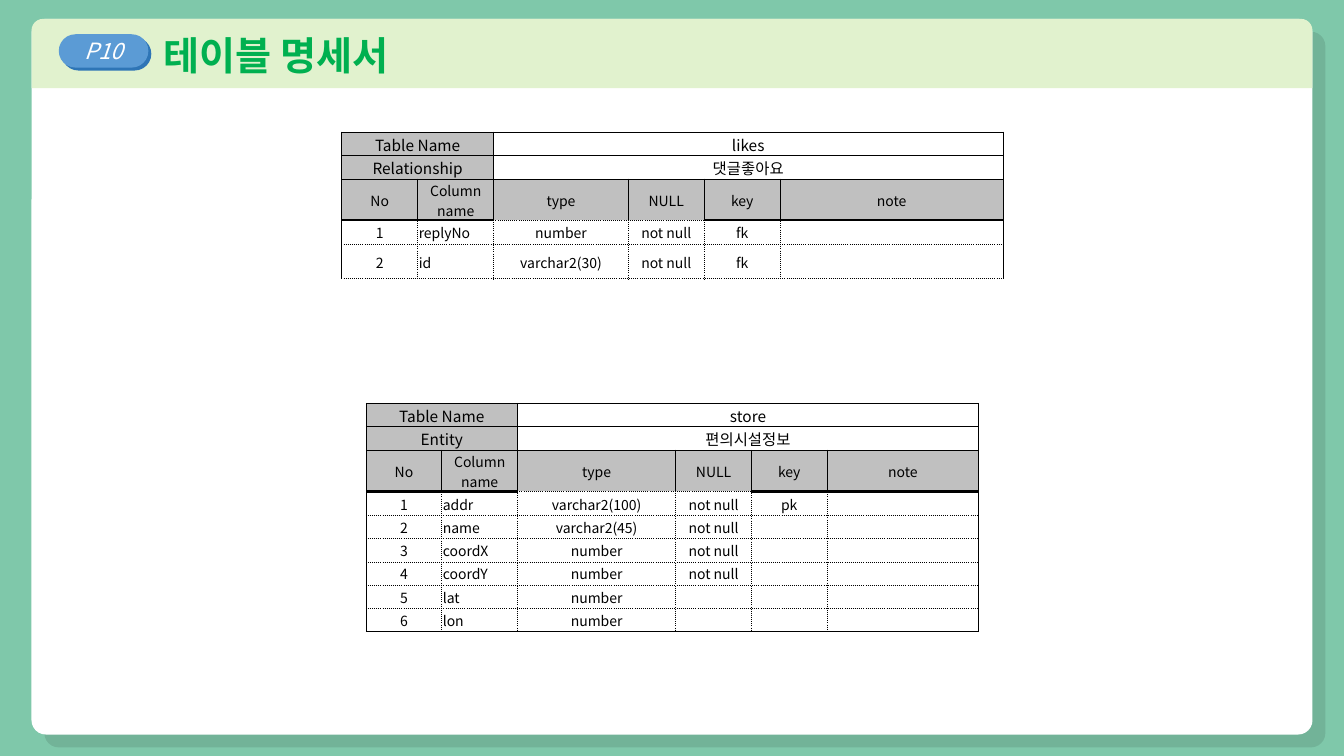
from dataclasses import dataclass

from lxml.etree import SubElement
from pptx import Presentation
from pptx.dml.color import RGBColor
from pptx.enum.shapes import MSO_SHAPE as Shape
from pptx.enum.text import MSO_ANCHOR as Anchor, PP_ALIGN as Align
from pptx.oxml.ns import qn
from pptx.util import Pt

TITLE = "테이블 명세서"
BADGE = "P10"
HEADINGS = ["No", "Column name", "type", "NULL", "key", "note"]
TABLES = [
    {
        "position": (244.1, 94.3),
        "columns": [54.3, 54.3, 96.1, 54.3, 54.3, 159],
        "heights": [16.6, 16.6, 24.5, 17.3, 24.5],
        "titles": [("Table Name", "likes"), ("Relationship", "댓글좋아요")],
        "fields": [
            ("replyNo", "number", "not null", "fk"),
            ("id", "varchar2(30)", "not null", "fk"),
        ],
        "split_note_rows": [],
        "closed": False,
    },
    {
        "position": (261.5, 288),
        "columns": [54.1, 54.1, 113, 54.1, 54.1, 54.1, 54.1],
        "heights": [16.6, 16.6, 24.5, 17.3] + [16.5] * 5,
        "titles": [("Table Name", "store"), ("Entity", "편의시설정보")],
        "fields": [
            ("addr", "varchar2(100)", "not null", "pk"),
            ("name", "varchar2(45)", "not null", ""),
            ("coordX", "number", "not null", ""),
            ("coordY", "number", "not null", ""),
            ("lat", "number", "", ""),
            ("lon", "number", "", ""),
        ],
        "split_note_rows": [5, 6, 7],
        "closed": True,
    },
]


@dataclass(frozen=True)
class Theme:
    font: str = "Noto Sans CJK KR"
    background: str = "7FC8AA"
    panel: str = "FFFFFF"
    banner: str = "E1F2CE"
    title: str = "00B050"
    badge: str = "5B9BD5"
    badge_shadow: str = "2E75B6"
    ink: str = "000000"
    heading_fill: str = "C0C0C0"
    title_size: int = 28
    badge_size: int = 16
    name_size: int = 11
    cell_size: int = 10


THEME = Theme()
HEADING_ROW = 2
NOTE = 5
DOTTED_HEADINGS = (2, 3)
SOLID, DOTTED, HEAVY, NONE = (0.5, "solid"), (0.5, "sysDot"), (2, "solid"), None


def color(value):
    return RGBColor.from_string(value)


def write(frame, text, size, ink, align, bold=None, italic=None):
    paragraph = frame.paragraphs[0]
    paragraph.text = text
    paragraph.alignment = align
    font = paragraph.font
    font.name, font.size, font.bold, font.italic = THEME.font, Pt(size), bold, italic
    font.color.rgb = color(ink)
    defaults = paragraph._p.pPr.find(qn("a:defRPr"))
    SubElement(defaults, qn("a:ea"), typeface=THEME.font)
    if not text:
        SubElement(paragraph._p, qn("a:endParaRPr"), sz=str(size * 100))
    return paragraph


def add_panel(group, kind, box, fill, radius=None, shadow=None):
    shape = group.shapes.add_shape(kind, *map(Pt, box))
    shape.shadow.inherit = False
    shape.fill.solid()
    shape.fill.fore_color.rgb = color(fill)
    shape.line.fill.background()
    shape.text_frame.vertical_anchor = Anchor.MIDDLE
    if radius is not None:
        shape.adjustments[0] = radius
    if shadow:
        tint, opacity, distance = shadow
        effects = shape._element.spPr.find(qn("a:effectLst"))
        outer = SubElement(effects, qn("a:outerShdw"), blurRad="0", dist=str(Pt(distance)),
                           dir=str(45 * 60000), algn="tl", rotWithShape="0")
        shade = SubElement(outer, qn("a:srgbClr"), val=tint)
        SubElement(shade, qn("a:alpha"), val=str(opacity * 1000))
    return shape


def add_header(slide):
    group = slide.shapes.add_group_shape()
    add_panel(group, Shape.ROUNDED_RECTANGLE, (22.5, 13.5, 915, 511.2), THEME.panel,
              0.02, (THEME.ink, 10, 13))
    banner = add_panel(group, Shape.ROUND_2_SAME_RECTANGLE, (22.5, 13.5, 915, 49.5), THEME.banner)
    title = write(banner.text_frame, TITLE, THEME.title_size, THEME.title, Align.LEFT, bold=True)
    title._p.pPr.set("marL", str(Pt(85)))
    badge = add_panel(group, Shape.ROUNDED_RECTANGLE, (42, 24.5, 64, 23.8), THEME.badge,
                      0.5, (THEME.badge_shadow, 100, 3))
    write(badge.text_frame, BADGE, THEME.badge_size, THEME.panel, Align.CENTER, italic=True)


def set_borders(cell, edges):
    properties = cell._tc.get_or_add_tcPr()
    for side, edge in zip("LRTB", edges):
        if edge is NONE:
            SubElement(SubElement(properties, qn("a:ln" + side), w="0"), qn("a:noFill"))
            continue
        width, dash = edge
        line = SubElement(properties, qn("a:ln" + side), w=str(Pt(width)))
        SubElement(SubElement(line, qn("a:solidFill")), qn("a:srgbClr"), val=THEME.ink)
        SubElement(line, qn("a:prstDash"), val=dash)


def layout_row(row, spec):
    last = len(spec["columns"]) - 1
    if row < HEADING_ROW:
        name, value = spec["titles"][row]
        return [(0, 1, name), (2, last, value)]
    if row == HEADING_ROW:
        texts = HEADINGS
    else:
        number = row - HEADING_ROW
        texts = [str(number), *spec["fields"][number - 1], ""]
    cells = [(column, column, text) for column, text in enumerate(texts[:NOTE])]
    if row in spec["split_note_rows"]:
        return cells + [(column, column, "") for column in range(NOTE, last + 1)]
    return cells + [(NOTE, last, texts[NOTE])]


def find_edges(row, first, end, spec):
    if row < HEADING_ROW:
        return SOLID, SOLID, SOLID, SOLID
    rule = DOTTED if first in DOTTED_HEADINGS else HEAVY
    if row == HEADING_ROW:
        return SOLID, SOLID, SOLID, rule
    last = len(spec["columns"]) - 1
    split = row in spec["split_note_rows"]
    left = SOLID if first == 0 else NONE if split and first > NOTE else DOTTED
    right = SOLID if end == last else NONE if split and end == NOTE else DOTTED
    top = rule if row == HEADING_ROW + 1 else DOTTED
    bottom = SOLID if spec["closed"] and row == len(spec["heights"]) - 1 else DOTTED
    return left, right, top, bottom


def add_specification(slide, spec):
    columns, heights = spec["columns"], spec["heights"]
    size = (sum(columns), sum(heights))
    table = slide.shapes.add_table(len(heights), len(columns),
                                   *map(Pt, spec["position"] + size)).table
    table.first_row = table.horz_banding = False
    for column, width in zip(table.columns, columns):
        column.width = Pt(width)
    for row, height in enumerate(heights):
        table.rows[row].height = Pt(height)
        for first, end, text in layout_row(row, spec):
            for column in range(first, end + 1):
                cell = table.cell(row, column)
                set_borders(cell, find_edges(row, first, end, spec))
                cell.fill.background()
            cell = table.cell(row, first)
            if end > first:
                cell.merge(table.cell(row, end))
            if row == HEADING_ROW or row < HEADING_ROW and first == 0:
                cell.fill.solid()
                cell.fill.fore_color.rgb = color(THEME.heading_fill)
            cell.margin_left = cell.margin_right = cell.margin_top = Pt(0.75)
            cell.margin_bottom = 0
            cell.vertical_anchor = Anchor.MIDDLE
            is_field = row > HEADING_ROW and first == 1
            write(cell.text_frame, text,
                  THEME.name_size if row < HEADING_ROW else THEME.cell_size,
                  THEME.ink, Align.JUSTIFY if is_field else Align.CENTER)


def main():
    presentation = Presentation()
    presentation.slide_width, presentation.slide_height = Pt(960), Pt(540)
    slide = presentation.slides.add_slide(presentation.slide_layouts[6])
    slide.background.fill.solid()
    slide.background.fill.fore_color.rgb = color(THEME.background)
    add_header(slide)
    for spec in TABLES:
        add_specification(slide, spec)
    presentation.save("out.pptx")


if __name__ == "__main__":
    main()
